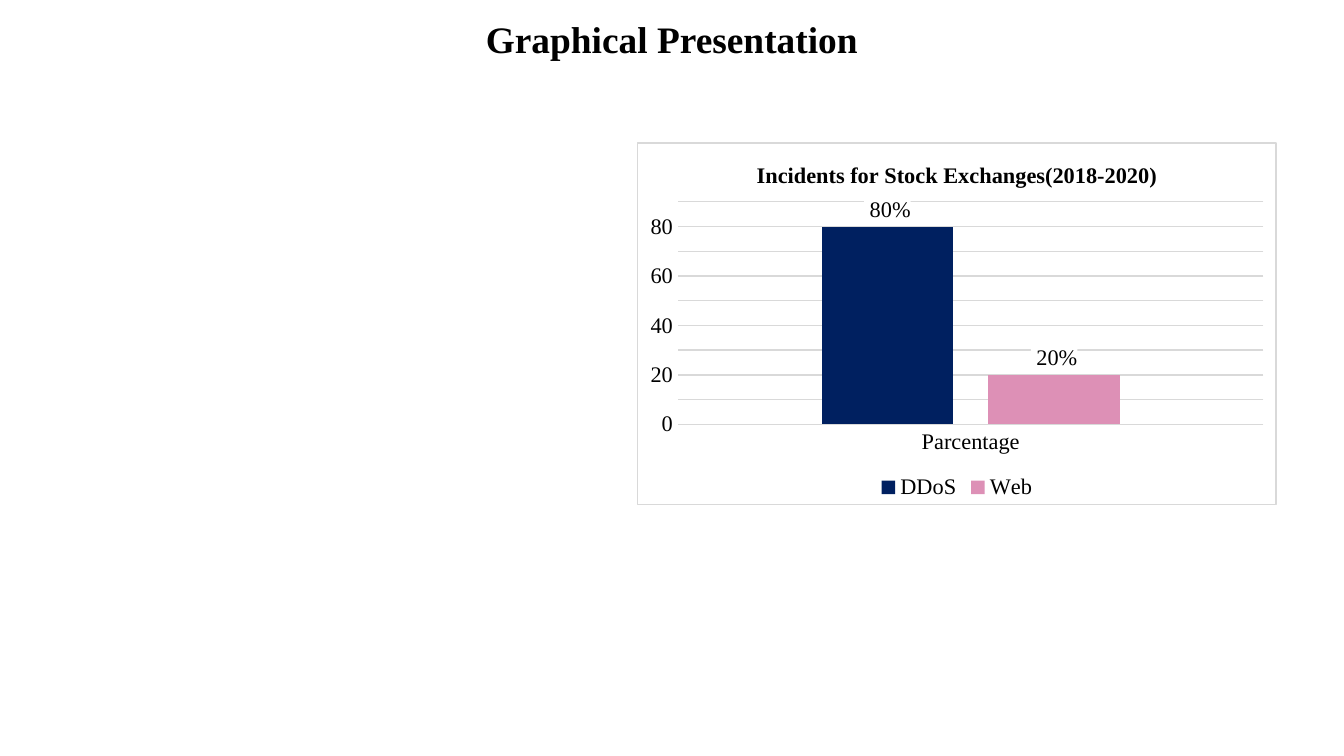
from lxml import etree
from pptx import Presentation
from pptx.chart.data import CategoryChartData
from pptx.dml.color import RGBColor
from pptx.enum.chart import (
    XL_CHART_TYPE as ChartType,
    XL_LABEL_POSITION as LabelPosition,
    XL_LEGEND_POSITION as LegendPosition,
    XL_TICK_MARK as TickMark,
)
from pptx.enum.text import MSO_ANCHOR as Anchor, PP_ALIGN as Align
from pptx.oxml import parse_xml
from pptx.oxml.ns import nsdecls, qn
from pptx.util import Inches, Pt

FONT = "Times New Roman"
COLORS = {
    "text": "000000",
    "background": "FFFFFF",
    "grid": "D9D9D9",
    "DDoS": "002060",
    "Web": "DD90B6",
}
INCIDENTS = {"DDoS": 80, "Web": 20}


def rgb(name):
    """Return the named colour."""
    return RGBColor.from_string(COLORS[name])


def style_font(font, size, bold=False):
    """Apply the slide's typeface and text colour."""
    font.name = FONT
    font.size = Pt(size)
    font.bold = bold
    font.color.rgb = rgb("text")


def write_text(frame, text, size=12, bold=False, align=Align.CENTER):
    """Write one formatted paragraph into a text frame."""
    paragraph = frame.paragraphs[0]
    paragraph.alignment = align
    run = paragraph.add_run()
    run.text = text
    style_font(run.font, size, bold)


def area_format(fill, border=None):
    """Build the fill and border element of a chart part."""
    properties = parse_xml(f"<c:spPr {nsdecls('c', 'a')}/>")
    solid = etree.SubElement(properties, qn("a:solidFill"))
    etree.SubElement(solid, qn("a:srgbClr"), val=COLORS[fill])
    line = etree.SubElement(properties, qn("a:ln"), w=str(Pt(0.75)))
    if border:
        stroke = etree.SubElement(line, qn("a:solidFill"))
        etree.SubElement(stroke, qn("a:srgbClr"), val=COLORS[border])
    else:
        etree.SubElement(line, qn("a:noFill"))
    return properties


def style_line(line):
    """Draw a thin line in the grid colour."""
    line.color.rgb = rgb("grid")
    line.width = Pt(0.75)


def add_title(slide, text):
    """Place and fill the title placeholder."""
    title = slide.shapes.title
    title.left, title.top = Inches(0.5), Inches(0.02)
    title.width, title.height = Inches(9), Inches(0.63)
    frame = title.text_frame
    frame.margin_left = frame.margin_right = Inches(0.1)
    frame.margin_top = frame.margin_bottom = Inches(0.1)
    frame.vertical_anchor = Anchor.TOP
    write_text(frame, text, size=20, bold=True)


def style_axes(chart):
    """Format the category axis, value axis and gridlines."""
    categories, values = chart.category_axis, chart.value_axis
    for axis in (categories, values):
        axis.major_tick_mark = axis.minor_tick_mark = TickMark.NONE
    style_line(categories.format.line)
    values.format.line.fill.background()
    values.minimum_scale, values.maximum_scale = 0, 90
    values.major_unit = 10
    values.has_major_gridlines = True
    style_line(values.major_gridlines.format.line)


def style_series(series):
    """Colour one series and label its column with a percentage."""
    series.format.fill.solid()
    series.format.fill.fore_color.rgb = rgb(series.name)
    labels = series.data_labels
    labels.show_value = labels.show_category_name = True
    labels.position = LabelPosition.OUTSIDE_END
    style_font(labels.font, 12)
    label = series.points[0].data_label
    write_text(label.text_frame, f" {INCIDENTS[series.name]}%")
    label.position = LabelPosition.OUTSIDE_END
    label_text = series._element.find(f".//{qn('c:dLbl')}/{qn('c:tx')}")
    label_text.addnext(area_format("background"))


def add_incident_chart(slide):
    """Add the clustered column chart of incident shares."""
    data = CategoryChartData()
    data.categories = ["Parcentage"]
    for name, share in INCIDENTS.items():
        data.add_series(name, [share])
    chart = slide.shapes.add_chart(
        ChartType.COLUMN_CLUSTERED,
        Inches(4.74), Inches(1.06), Inches(4.76), Inches(2.7), data,
    ).chart
    style_font(chart.font, 12)
    chart.has_title = True
    write_text(chart.chart_title.text_frame,
               "Incidents for Stock Exchanges(2018-2020)", bold=True)
    chart.chart_title.include_in_layout = False
    chart.has_legend = True
    chart.legend.position = LegendPosition.BOTTOM
    chart.legend.include_in_layout = False
    style_axes(chart)
    columns = chart.plots[0]
    columns.gap_width, columns.overlap = 219, -27
    columns.vary_by_categories = False
    for series in columns.series:
        style_series(series)
    chart_body = chart._chartSpace.find(qn("c:chart"))
    chart_body.addnext(area_format("background", border="grid"))


def main():
    """Build and save the slide."""
    deck = Presentation()
    deck.slide_width, deck.slide_height = Inches(10), Inches(5.625)
    slide = deck.slides.add_slide(deck.slide_layouts[5])
    slide.background.fill.solid()
    slide.background.fill.fore_color.rgb = rgb("background")
    add_title(slide, "Graphical Presentation")
    add_incident_chart(slide)
    deck.save("out.pptx")


if __name__ == "__main__":
    main()
